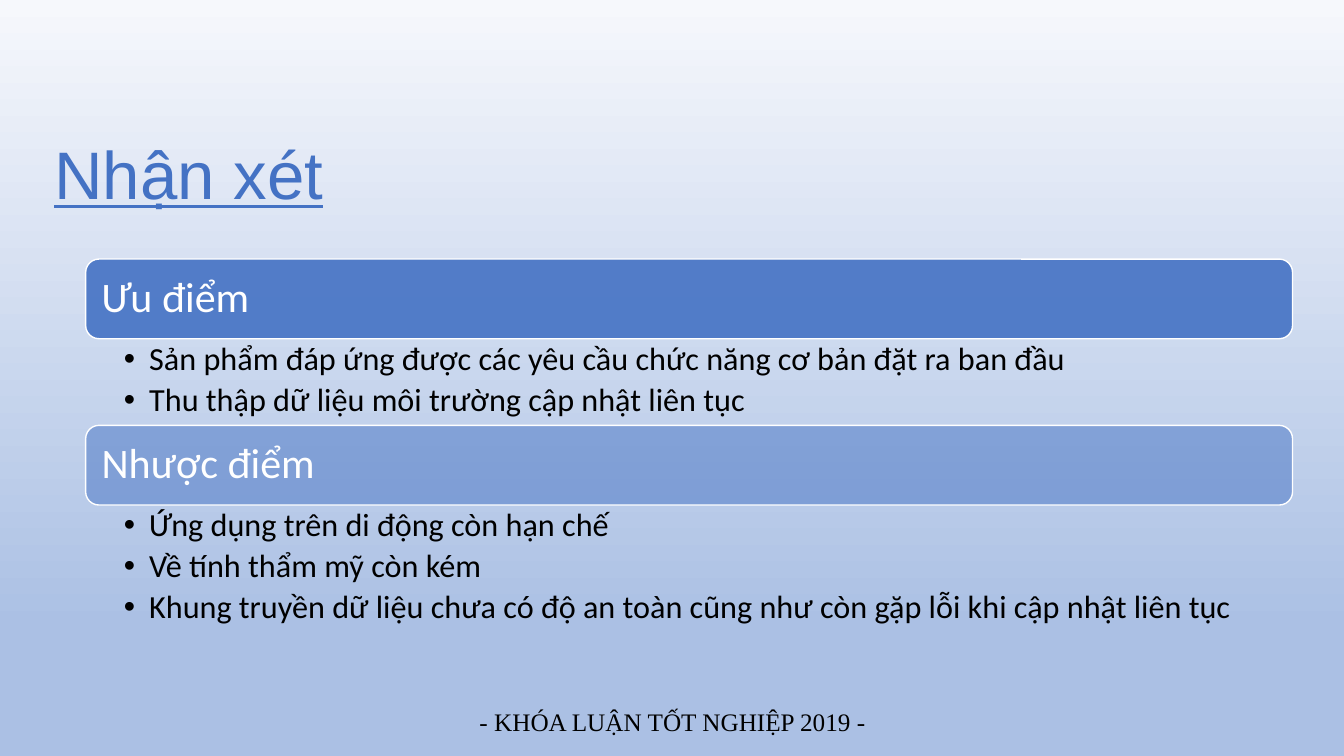
from lxml import etree
from pptx import Presentation
from pptx.dml.color import RGBColor
from pptx.enum.shapes import MSO_SHAPE
from pptx.enum.text import MSO_ANCHOR, MSO_AUTO_SIZE, PP_ALIGN
from pptx.oxml.ns import qn
from pptx.util import Inches, Pt

ROUND = MSO_SHAPE.ROUNDED_RECTANGLE
TOP, MIDDLE = MSO_ANCHOR.TOP, MSO_ANCHOR.MIDDLE
LEFT, CENTER = PP_ALIGN.LEFT, PP_ALIGN.CENTER
BLUE = RGBColor(0x44, 0x72, 0xC4)
WHITE = RGBColor(0xFF, 0xFF, 0xFF)
BLACK = RGBColor(0, 0, 0)
PALE = RGBColor(0xF6, 0xF8, 0xFC)
SKY = RGBColor(0xAB, 0xC0, 0xE4)

# Each section: top, header opacity in percent, list height, header, points
SECTIONS = [
    (2.57, 90, 0.87, "Ưu điểm", [
        "Sản phẩm đáp ứng được các yêu cầu chức năng cơ bản đặt ra ban đầu",
        "Thu thập dữ liệu môi trường cập nhật liên tục",
    ]),
    (4.22, 50, 1.73, "Nhược điểm", [
        "Ứng dụng trên di động còn hạn chế",
        "Về tính thẩm mỹ còn kém",
        "Khung truyền dữ liệu chưa có độ an toàn cũng như còn gặp lỗi khi cập nhật liên tục",
    ]),
]
EDGE, WIDTH, BAR = 0.85, 11.97, 0.79


def style(para, font, size, color, align=LEFT):
    para.alignment = align
    for run in para.runs:
        run.font.name = font
        run.font.size = Pt(size)
        run.font.color.rgb = color


def setup(frame, anchor, left, top, right):
    """Wrap the text and set its anchor and insets in inches."""
    frame.word_wrap = True
    frame.auto_size = MSO_AUTO_SIZE.NONE
    frame.vertical_anchor = anchor
    frame.margin_left, frame.margin_right = Inches(left), Inches(right)
    frame.margin_top = frame.margin_bottom = Inches(top)


prs = Presentation()
prs.slide_width, prs.slide_height = Inches(13.33), Inches(7.5)
slide = prs.slides.add_slide(prs.slide_layouts[5])
shapes = slide.shapes

fill = slide.background.fill
fill.gradient()
fill.gradient_angle = 270
for stop, color, place in zip(fill.gradient_stops, (PALE, SKY), (0, 0.83)):
    stop.color.rgb = color
    stop.position = place

title = shapes.title
title.left, title.top = Inches(0.44), Inches(1.26)
title.width, title.height = Inches(5.28), Inches(0.91)
title.text_frame.text = "Nhận xét"
setup(title.text_frame, TOP, 0.1, 0.05, 0.1)
head = title.text_frame.paragraphs[0]
style(head, "Arial", 48, BLUE)
head.runs[0].font.underline = True

for top, alpha, height, name, points in SECTIONS:
    bar = shapes.add_shape(ROUND, Inches(EDGE), Inches(top), Inches(WIDTH), Inches(BAR))
    bar.shadow.inherit = False
    bar.fill.solid()
    bar.fill.fore_color.rgb = BLUE
    tint = bar.fill._xPr.find(qn("a:solidFill"))[0]
    etree.SubElement(tint, qn("a:alpha"), val=str(alpha * 1000))
    bar.line.color.rgb = WHITE
    bar.line.width = Pt(1)
    bar.text_frame.text = name
    setup(bar.text_frame, MIDDLE, 0.12, 0.12, 0.12)
    label = bar.text_frame.paragraphs[0]
    label.line_spacing = 0.9
    style(label, "Calibri", 30, WHITE)

    box = shapes.add_textbox(Inches(EDGE), Inches(top + BAR), Inches(WIDTH), Inches(height))
    box.text_frame.text = "\n".join(points)
    setup(box.text_frame, TOP, 0.38, 0.04, 0.23)
    for para in box.text_frame.paragraphs:
        para.line_spacing = 0.9
        para.space_after = Pt(4.5)
        style(para, "Calibri", 23, BLACK)
        props = para._p.get_or_add_pPr()
        props.set("marL", str(Inches(0.25)))
        props.set("indent", str(Inches(-0.25)))
        etree.SubElement(props, qn("a:buFont"), typeface="Arial")
        etree.SubElement(props, qn("a:buChar"), char="•")

footer = shapes.add_textbox(Inches(3.65), Inches(6.96), Inches(6.04), Inches(0.4))
footer.text_frame.text = "- KHÓA LUẬN TỐT NGHIỆP 2019 -"
setup(footer.text_frame, TOP, 0.1, 0.05, 0.1)
style(footer.text_frame.paragraphs[0], "Times New Roman", 18, BLACK, CENTER)

prs.save("out.pptx")
